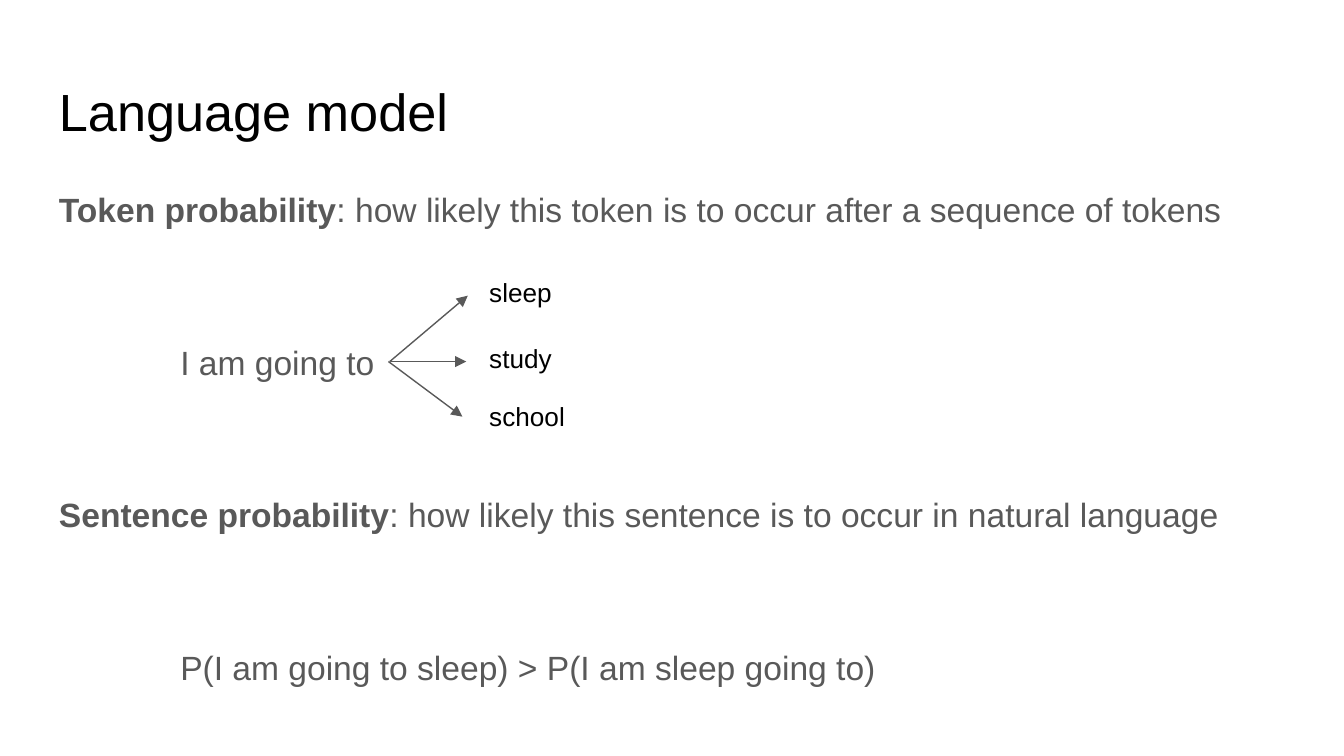
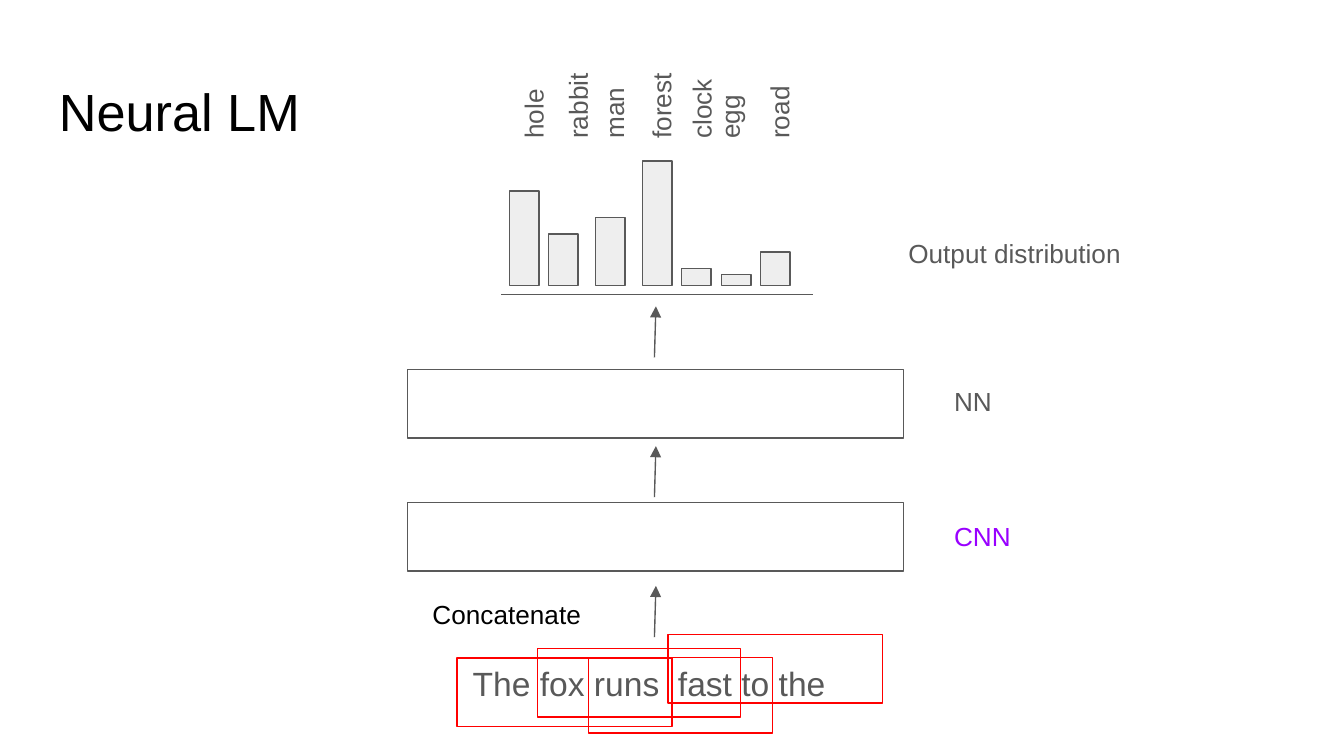
from dataclasses import dataclass

from lxml.etree import SubElement
from pptx import Presentation
from pptx.dml.color import RGBColor
from pptx.enum.shapes import MSO_CONNECTOR as Conn, MSO_SHAPE as Shape
from pptx.oxml.ns import qn
from pptx.slide import Slide
from pptx.text.text import TextFrame, _Paragraph as Para
from pptx.util import Pt

BLACK = RGBColor(0x00, 0x00, 0x00)
GREY = RGBColor(0x59, 0x59, 0x59)
LIGHT = RGBColor(0xEE, 0xEE, 0xEE)
RED = RGBColor(0xFF, 0x00, 0x00)
PURPLE = RGBColor(0x99, 0x00, 0xFF)
FONT = "Arial"
INSET = 7.2
LINE_WIDTH = 0.75


@dataclass(frozen=True)
class Label:
    text: str
    x: float
    y: float
    w: float
    h: float
    color: RGBColor = GREY
    size: float = 14
    rotation: float = 0


@dataclass(frozen=True)
class Line:
    x1: float
    y1: float
    x2: float
    y2: float
    arrow: bool = True


@dataclass(frozen=True)
class Box:
    x: float
    y: float
    w: float
    h: float
    line: RGBColor = GREY
    fill: RGBColor | None = None


@dataclass(frozen=True)
class Bar:
    word: str
    x: float
    height: float
    label_x: float


@dataclass(frozen=True)
class Statement:
    term: str
    text: str
    indent: float = 0


def add_run(p: Para, text: str, size: float, color: RGBColor, bold: bool = False) -> None:
    r = p.add_run()
    r.text = text
    r.font.name = FONT
    r.font.size = Pt(size)
    r.font.bold = bold
    r.font.color.rgb = color


def add_frame(s: Slide, x: float, y: float, w: float, h: float, rotation: float = 0) -> TextFrame:
    sp = s.shapes.add_textbox(Pt(x), Pt(y), Pt(w), Pt(h))
    sp.rotation = rotation
    tf = sp.text_frame
    tf.word_wrap = True
    tf.margin_left = tf.margin_right = tf.margin_top = tf.margin_bottom = Pt(INSET)
    return tf


def add_label(s: Slide, label: Label) -> None:
    tf = add_frame(s, label.x, label.y, label.w, label.h, label.rotation)
    add_run(tf.paragraphs[0], label.text, label.size, label.color)


def add_title(s: Slide, text: str, width: float) -> None:
    add_label(s, Label(text, 24.5, 35.5, width, 45, BLACK, 28))


def add_line(s: Slide, line: Line) -> None:
    sp = s.shapes.add_connector(Conn.STRAIGHT, Pt(line.x1), Pt(line.y1), Pt(line.x2), Pt(line.y2))
    sp.line.color.rgb = GREY
    sp.line.width = Pt(LINE_WIDTH)
    if line.arrow:
        SubElement(sp.line._get_or_add_ln(), qn("a:tailEnd"), type="triangle")
    SubElement(sp._element.spPr, qn("a:effectLst"))


def add_box(s: Slide, box: Box) -> None:
    sp = s.shapes.add_shape(Shape.RECTANGLE, Pt(box.x), Pt(box.y), Pt(box.w), Pt(box.h))
    sp.shadow.inherit = False
    sp.line.color.rgb = box.line
    sp.line.width = Pt(LINE_WIDTH)
    if box.fill is None:
        sp.fill.background()
    else:
        sp.fill.solid()
        sp.fill.fore_color.rgb = box.fill


def add_statements(s: Slide, statements: list[Statement]) -> None:
    tf = add_frame(s, 24.5, 90.7, 671, 299.5)
    for i, statement in enumerate(statements):
        p = tf.add_paragraph() if i else tf.paragraphs[0]
        p.line_spacing = 1.15
        p.space_before = Pt(57 if i else 0)
        p._p.get_or_add_pPr().set("marL", str(Pt(statement.indent)))
        if statement.term:
            add_run(p, statement.term, 18, GREY, bold=True)
        add_run(p, statement.text, 18, GREY)


def build_language_model(s: Slide) -> None:
    add_title(s, "Language model", 671)
    add_statements(s, [
        Statement("Token probability", ": how likely this token is to occur after a sequence of tokens"),
        Statement("", "I am going to", 65),
        Statement("Sentence probability", ": how likely this sentence is to occur in natural language"),
        Statement("", "P(I am going to sleep) > P(I am sleep going to)", 65),
    ])
    fork_y = 193.7
    for x1, x2, y2 in [(208.8, 250.6, 158.4), (209.5, 249.8, fork_y), (208.1, 247.7, 223.2)]:
        add_line(s, Line(x1, fork_y, x2, y2))
    for word, y in [("sleep", 141.1), ("study", 176.4), ("school", 207.4)]:
        add_label(s, Label(word, 255, y, 89.3, 34.6, BLACK))


def build_neural_lm(s: Slide) -> None:
    add_title(s, "Neural LM", 147.6)
    for y in (269.3, 198):
        add_box(s, Box(218.2, y, 265.7, 36.7))
    for i in range(3):
        y = 341.3 - 74.9 * i
        add_line(s, Line(350.6, y, 351.4, y - 27.4))
    add_label(s, Label("The fox runs  fast to the", 246.2, 347.8, 208.8, 40.3, size=18))

    add_line(s, Line(268.6, 157.7, 435.6, 157.7, arrow=False))
    baseline = 153
    bars = [
        Bar("hole", 272.9, 50.6, 258.5),
        Bar("rabbit", 293.8, 27.5, 282.2),
        Bar("man", 319, 36.5, 301.7),
        Bar("forest", 344.2, 66.8, 326.9),
        Bar("clock", 365.2, 9.2, 348.5),
        Bar("egg", 386.6, 6, 363.6),
        Bar("road", 407.5, 18, 390.2),
    ]
    for bar in bars:
        add_box(s, Box(bar.x, baseline - bar.height, 15.8, bar.height, fill=LIGHT))
        add_label(s, Label(bar.word, bar.label_x, 42.5, 50.4, 27.4, rotation=270))

    for text, x, y, color in [
        ("Output distribution", 479.5, 120.2, GREY),
        ("NN", 504, 199.4, GREY),
        ("СNN", 504, 271.4, PURPLE),
    ]:
        add_label(s, Label(text, x, y, 170, 55.4, color))
    for x, y, w, h in [
        (244.8, 352.6, 115.2, 36.7),
        (288, 347.5, 108.7, 36.7),
        (315.4, 352.3, 98.6, 40.5),
        (357.8, 340, 115.2, 36.7),
    ]:
        add_box(s, Box(x, y, w, h, RED))
    add_label(s, Label("Concatenate", 224.6, 313.2, 111.6, 27.4, BLACK))


def main() -> None:
    prs = Presentation()
    prs.slide_width, prs.slide_height = Pt(720), Pt(405)
    for build in (build_language_model, build_neural_lm):
        build(prs.slides.add_slide(prs.slide_layouts[6]))
    prs.save("out.pptx")


if __name__ == "__main__":
    main()
